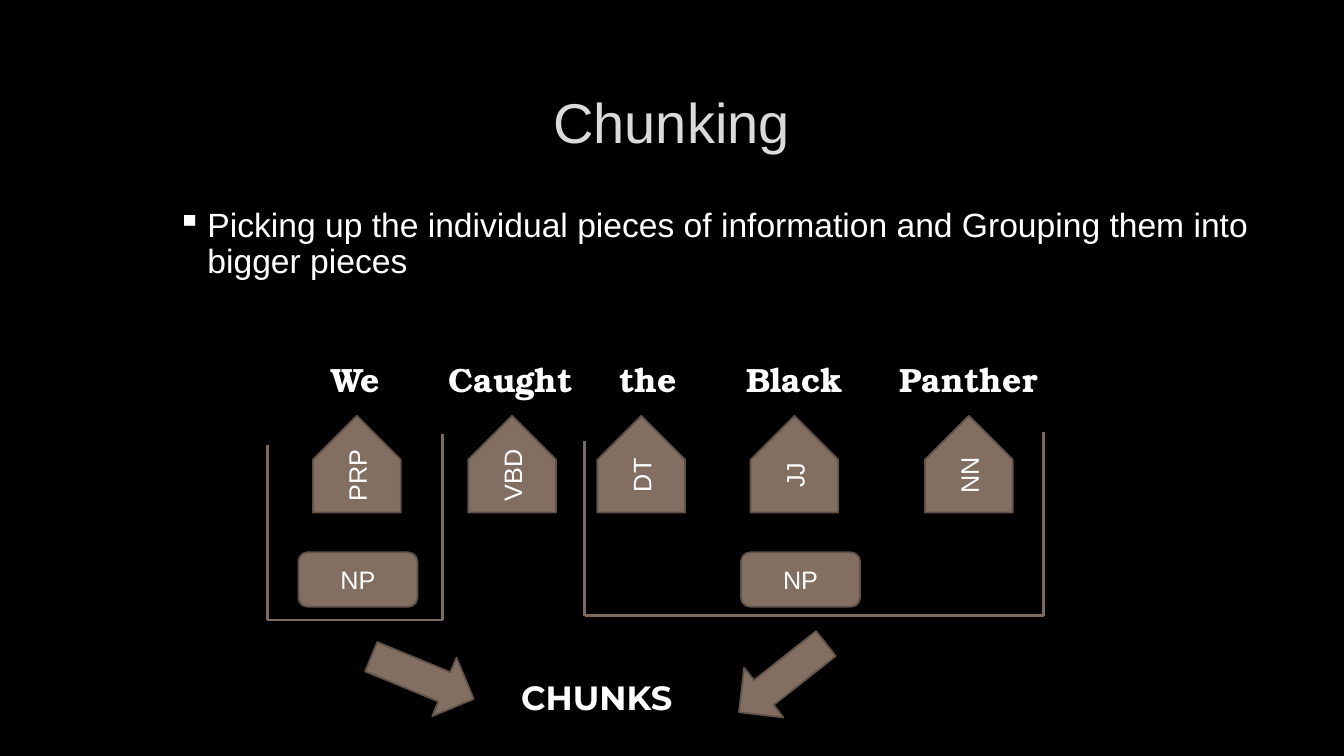
from lxml import etree
from pptx import Presentation, util as u
from pptx.dml.color import RGBColor
from pptx.enum import shapes, text
from pptx.oxml import ns

BLACK = RGBColor(0x00, 0x00, 0x00)
WHITE = RGBColor(0xFF, 0xFF, 0xFF)
TITLE_GRAY = RGBColor(0xDA, 0xDA, 0xDA)
TAUPE = RGBColor(0x82, 0x6F, 0x61)
OUTLINE = RGBColor(0x60, 0x52, 0x48)
BRACKET = RGBColor(0x7C, 0x6A, 0x5D)

presentation = Presentation()
presentation.slide_width = u.Inches(13.33)
presentation.slide_height = u.Inches(7.5)
slide = presentation.slides.add_slide(presentation.slide_layouts[5])
slide.background.fill.solid()
slide.background.fill.fore_color.rgb = BLACK


def add_block(kind, left, top, width, height, label="", rotation=0):
    """Add a taupe preset shape with a centred label."""
    shape = slide.shapes.add_shape(kind, *map(u.Inches, (left, top, width, height)))
    shape.rotation = rotation
    shape.shadow.inherit = False
    shape.fill.solid()
    shape.fill.fore_color.rgb = TAUPE
    shape.line.color.rgb = OUTLINE
    shape.line.width = u.Pt(1.25)
    if label:
        shape.text_frame.text = label
        shape.text_frame.vertical_anchor = text.MSO_ANCHOR.MIDDLE
        paragraph = shape.text_frame.paragraphs[0]
        paragraph.alignment = text.PP_ALIGN.CENTER
        font = paragraph.runs[0].font
        font.name, font.size, font.color.rgb = "Arial", u.Pt(18), WHITE


def add_text(left, top, width, height, words, font_name, bold=False):
    """Add a white 24 pt text box and return its paragraph."""
    box = slide.shapes.add_textbox(*map(u.Inches, (left, top, width, height)))
    box.text_frame.word_wrap = True
    box.text_frame.text = words
    paragraph = box.text_frame.paragraphs[0]
    paragraph.line_spacing = 0.9
    paragraph.space_before = u.Pt(18)
    font = paragraph.runs[0].font
    font.name, font.size, font.bold, font.color.rgb = font_name, u.Pt(24), bold, WHITE
    return paragraph


# Title
title = slide.shapes.title
title.left, title.top, title.width, title.height = map(u.Inches, (1, 0.67, 11.32, 1.06))
title.text_frame.text = "Chunking"
title.text_frame.vertical_anchor = text.MSO_ANCHOR.MIDDLE
title_paragraph = title.text_frame.paragraphs[0]
title_paragraph.alignment = text.PP_ALIGN.CENTER
title_font = title_paragraph.runs[0].font
title_font.name, title_font.size, title_font.color.rgb = "Arial", u.Pt(40), TITLE_GRAY

# Definition with a square bullet
definition = add_text(
    1.66, 2.02, 11.14, 0.94,
    "Picking up the individual pieces of information and Grouping them into bigger pieces",
    "Arial")
properties = definition._p.get_or_add_pPr()
properties.set("marL", str(u.Inches(0.3)))
properties.set("indent", str(-u.Inches(0.3)))
etree.SubElement(properties, ns.qn("a:buChar"), char="▪")

# Sentence: each word is centred on its own tab stop
SENTENCE_LEFT = 2.2
INSET = 0.1
tokens = [("We", 3.53, "PRP", 3.54), ("Caught", 5.07, "VBD", 5.08),
          ("the", 6.43, "DT", 6.36), ("Black", 7.88, "JJ", 7.88),
          ("Panther", 9.61, "NN", 9.61)]  # word, its centre, tag, its centre
sentence = add_text(SENTENCE_LEFT, 3.56, 8.94, 0.72,
                    "".join("\t" + token[0] for token in tokens),
                    "TeX Gyre Bonum", bold=True)
tab_list = etree.SubElement(sentence._p.get_or_add_pPr(), ns.qn("a:tabLst"))
for word, word_center, tag, tag_center in tokens:
    position = u.Inches(word_center - SENTENCE_LEFT - INSET)
    etree.SubElement(tab_list, ns.qn("a:tab"), pos=str(position), algn="ctr")

# Part-of-speech tags pointing up at the words
TAG_LENGTH, TAG_WIDTH = 0.96, 0.87
for word, word_center, tag, tag_center in tokens:
    add_block(shapes.MSO_SHAPE.PENTAGON, tag_center - TAG_LENGTH / 2, 4.17,
              TAG_LENGTH, TAG_WIDTH, tag, rotation=270)

# Noun phrase labels
for left in (2.96, 7.35):
    add_block(shapes.MSO_SHAPE.ROUNDED_RECTANGLE, left, 5.48, 1.18, 0.54, "NP")

# Brackets around the chunks: left, right, left top, right top, bottom
for left, right, left_top, right_top, bottom in ((2.65, 4.39, 4.41, 4.31, 6.15),
                                                 (5.8, 10.35, 4.38, 4.29, 6.11)):
    for ends in ((left, left_top, left, bottom),
                 (left, bottom, right, bottom),
                 (right, right_top, right, bottom)):
        line = slide.shapes.add_connector(shapes.MSO_CONNECTOR.STRAIGHT,
                                          *map(u.Inches, ends))
        line.line.color.rgb = BRACKET
        line.line.width = u.Pt(2)
        etree.SubElement(line._element.spPr, ns.qn("a:effectLst"))

# Arrows to the result
for left, rotation in ((3.64, 22.4), (7.21, 141.7)):
    add_block(shapes.MSO_SHAPE.RIGHT_ARROW, left, 6.41, 1.1, 0.63, rotation=rotation)
add_text(5.07, 6.71, 1.81, 0.52, "CHUNKS", "Montserrat", bold=True)

presentation.save("out.pptx")
